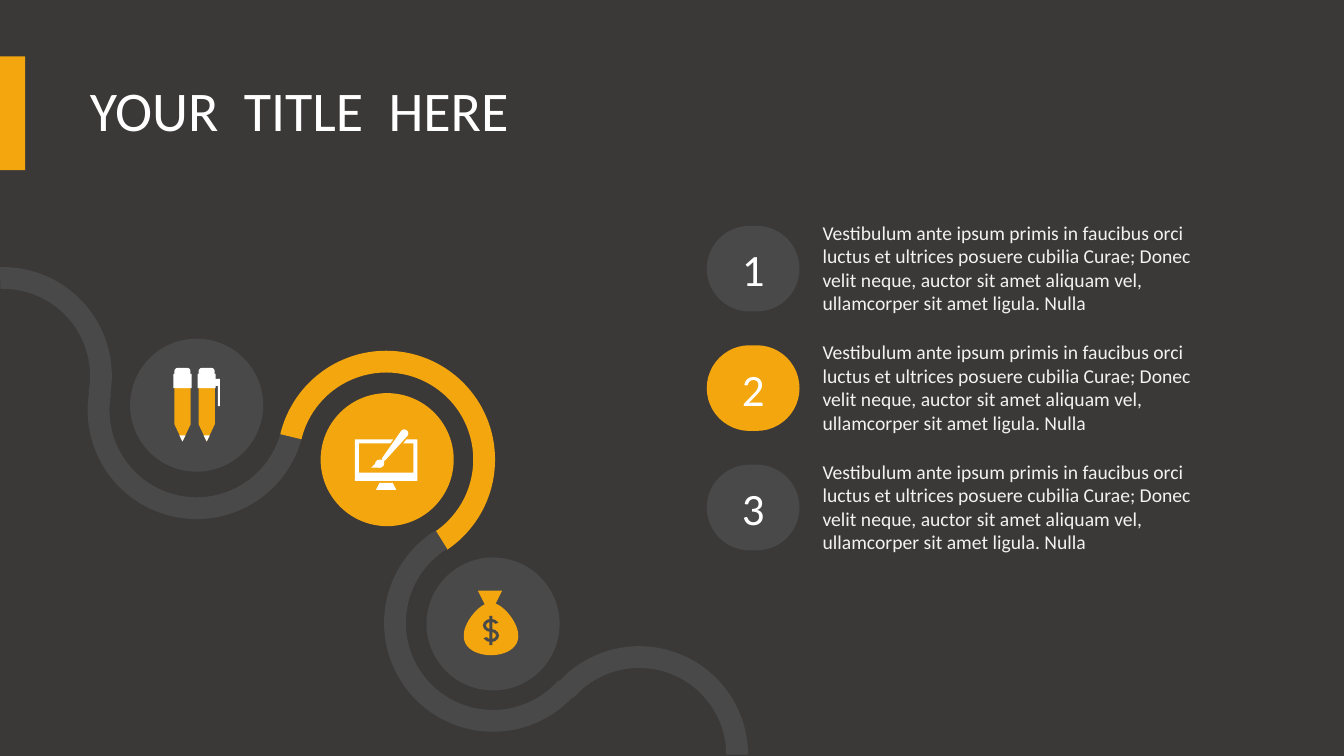
from math import atan2, cos, pi, sin

from pptx import Presentation
from pptx.dml.color import RGBColor
from pptx.enum.shapes import MSO_SHAPE as Preset
from pptx.enum.text import MSO_ANCHOR as Anchor, MSO_AUTO_SIZE as AutoSize, PP_ALIGN as Align
from pptx.util import Inches, Pt

BACKGROUND = RGBColor(0x3B, 0x38, 0x38)
ORANGE = RGBColor(0xF3, 0xA6, 0x0D)
GRAY = RGBColor(0x49, 0x49, 0x49)
WHITE = RGBColor(0xFF, 0xFF, 0xFF)
PALE = RGBColor(0xF2, 0xF2, 0xF2)
ANGLE_UNIT = 0.6  # block arc adjustment per degree


def add_preset(kind, left, top, width, height, color, adjustments=(), rotation=0):
    shape = slide.shapes.add_shape(kind, Inches(left), Inches(top), Inches(width), Inches(height))
    for index, value in enumerate(adjustments):
        shape.adjustments[index] = value
    shape.rotation = rotation
    shape.fill.solid()
    shape.fill.fore_color.rgb = color
    shape.line.fill.background()
    shape.shadow.inherit = False
    return shape


def write(shape, text, size, color=WHITE, align=Align.LEFT, anchor=Anchor.MIDDLE,
          spacing=1.0, fit=AutoSize.NONE):
    frame = shape.text_frame
    frame.word_wrap = True
    frame.auto_size = fit
    frame.vertical_anchor = anchor
    paragraph = frame.paragraphs[0]
    paragraph.alignment = align
    paragraph.line_spacing = spacing
    run = paragraph.add_run()
    run.text = text
    run.font.name = "Calibri"
    run.font.size = Pt(size)
    run.font.color.rgb = color


prs = Presentation()
prs.slide_width, prs.slide_height = Inches(13.33), Inches(7.5)
slide = prs.slides.add_slide(prs.slide_layouts[5])
slide.background.fill.solid()
slide.background.fill.fore_color.rgb = BACKGROUND

# Title with its accent bar
add_preset(Preset.RECTANGLE, -0.01, 0.56, 0.26, 1.13, ORANGE)
title = slide.shapes.title
title.left, title.top, title.width, title.height = map(Inches, (0.79, 0.4, 11.63, 1.45))
write(title, "YOUR  TITLE  HERE", 40, spacing=0.9)

# Winding road: left, top, rotation, flips, start and end in degrees, color
BEND_SIZE, ROAD_THICKNESS = 2.16, 0.1
ROAD = [
    (-1.05, 2.65, 0, (), 268.4, 10.9, GRAY),
    (0.87, 2.99, 0, ("flipH", "flipV"), 194.4, 10.8, GRAY),
    (2.75, 3.48, 45, (), 148.5, 10.8, ORANGE),
    (3.81, 5.1, 52, ("flipV",), 173.8, 10.8, GRAY),
    (5.26, 6.41, 50.4, ("flipH",), 230.6, 9.5, GRAY),
]
for left, top, rotation, flips, start, end, color in ROAD:
    bend = add_preset(Preset.BLOCK_ARC, left, top, BEND_SIZE, BEND_SIZE, color,
                      (start * ANGLE_UNIT, end * ANGLE_UNIT, ROAD_THICKNESS), rotation)
    for flip in flips:
        bend._element.spPr.xfrm.set(flip, "1")

# Discs that carry the icons
DISC_SIZE = 1.32
for left, top, color in [(1.29, 3.36, GRAY), (3.18, 3.9, ORANGE), (4.23, 5.53, GRAY)]:
    add_preset(Preset.OVAL, left, top, DISC_SIZE, DISC_SIZE, color)

# Pens: a downward arrow-shaped body, a cap with a wider band, and a tip
PEN_WIDTH, PEN_TOP, PEN_POINT = 0.16, 3.75, 4.38
CAP_TOP, BAND_TOP, TIP_SIZE = 3.65, 3.71, 0.06
pen_length = PEN_POINT - PEN_TOP
for pen_center in (1.81, 2.05):
    add_preset(Preset.PENTAGON, pen_center - pen_length / 2, PEN_TOP + (pen_length - PEN_WIDTH) / 2,
               pen_length, PEN_WIDTH, ORANGE, (1.06,), 90)
    add_preset(Preset.ROUNDED_RECTANGLE, pen_center - PEN_WIDTH / 2, CAP_TOP,
               PEN_WIDTH, PEN_WIDTH, WHITE, (0.2,))
    add_preset(Preset.RECTANGLE, pen_center - PEN_WIDTH / 2 - 0.01, BAND_TOP,
               PEN_WIDTH + 0.02, 0.14, WHITE)
    add_preset(Preset.FLOWCHART_MERGE, pen_center - TIP_SIZE / 2, PEN_POINT - TIP_SIZE,
               TIP_SIZE, TIP_SIZE, WHITE)
add_preset(Preset.RECTANGLE, 2.12, 3.76, 0.05, 0.07, WHITE)
add_preset(Preset.RECTANGLE, 2.16, 3.76, 0.02, 0.27, WHITE)

# Monitor: a frame whose top edge is open where the brush crosses it
LEFT, RIGHT, TOP, BOTTOM = 3.52, 4.14, 4.36, 4.77
SIDE, CHIN = 0.04, 0.08
GAP_LEFT, GAP_RIGHT, SLANT = 3.9, 4.03, 0.03
inner_left, inner_right = LEFT + SIDE, RIGHT - SIDE
inner_top, inner_bottom = TOP + SIDE, BOTTOM - CHIN
monitor = [
    (GAP_RIGHT, TOP), (RIGHT, TOP), (RIGHT, BOTTOM), (LEFT, BOTTOM), (LEFT, TOP), (GAP_LEFT, TOP),
    (GAP_LEFT - SLANT, inner_top), (inner_left, inner_top), (inner_left, inner_bottom),
    (inner_right, inner_bottom), (inner_right, inner_top), (GAP_RIGHT - SLANT, inner_top),
]
add_preset(Preset.TRAPEZOID, 3.73, 4.79, 0.2, 0.07, WHITE, (0.5,))

# Brush handle: a half circle at each end, joined by straight sides
GRIP, GRIP_RADIUS = (4.01, 4.3), 0.04
FERRULE, FERRULE_RADIUS = (3.81, 4.55), 0.02
ARC_STEPS = 10
axis = atan2(GRIP[1] - FERRULE[1], GRIP[0] - FERRULE[0])
handle = []
for (x, y), radius, facing in [(GRIP, GRIP_RADIUS, axis), (FERRULE, FERRULE_RADIUS, axis + pi)]:
    for step in range(ARC_STEPS + 1):
        angle = facing - pi / 2 + pi * step / ARC_STEPS
        handle.append((x + radius * cos(angle), y + radius * sin(angle)))
add_preset(Preset.TEAR, 3.72, 4.56, 0.09, 0.08, WHITE)
add_preset(Preset.FLOWCHART_MERGE, 3.68, 4.59, 0.1, 0.05, WHITE, rotation=180)

# Money bag: a pear-shaped sack, fuller toward its foot, under a tied neck
BAG_CENTER, SACK_MIDDLE = 4.87, 6.24
SACK_HALF_WIDTH, SACK_HALF_HEIGHT, FULLNESS = 0.26, 0.26, 0.3
SACK_STEPS = 60
sack = []
for step in range(SACK_STEPS):
    turn = 2 * pi * step / SACK_STEPS
    half_width = SACK_HALF_WIDTH * (1 - FULLNESS * cos(turn))
    sack.append((BAG_CENTER + half_width * sin(turn), SACK_MIDDLE - SACK_HALF_HEIGHT * cos(turn)))
add_preset(Preset.FLOWCHART_MERGE, BAG_CENTER - 0.13, 5.86, 0.24, 0.24, ORANGE)

for outline, color in [(monitor, WHITE), (handle, WHITE), (sack, ORANGE)]:
    corners = [(Inches(x), Inches(y)) for x, y in outline]
    builder = slide.shapes.build_freeform(*corners[0])
    builder.add_line_segments(corners[1:], close=True)
    part = builder.convert_to_shape()
    part.fill.solid()
    part.fill.fore_color.rgb = color
    part.line.fill.background()
    part.shadow.inherit = False

# Dollar sign: two open rings stacked into an S, crossed by a bar
RING_WIDTH, RING_HEIGHT, STROKE = 0.16, 0.13, 0.03
for ring_top, start, end in [(6.14, 90, 340), (6.24, 270, 160)]:
    add_preset(Preset.BLOCK_ARC, BAG_CENTER - RING_WIDTH / 2, ring_top, RING_WIDTH, RING_HEIGHT, GRAY,
               (start * ANGLE_UNIT, end * ANGLE_UNIT, STROKE / RING_HEIGHT))
add_preset(Preset.RECTANGLE, BAG_CENTER - STROKE / 2, 6.11, STROKE, 0.29, GRAY)

# Numbered descriptions
DESCRIPTION = ("Vestibulum ante ipsum primis in faucibus orci luctus et ultrices posuere cubilia Curae; "
               "Donec velit neque, auctor sit amet aliquam vel, ullamcorper sit amet ligula. Nulla")
ROW_COLORS = (GRAY, ORANGE, GRAY)
FIRST_TO_LAST = 2.37
for row, color in enumerate(ROW_COLORS):
    offset = FIRST_TO_LAST * row / (len(ROW_COLORS) - 1)
    badge = add_preset(Preset.ROUNDED_RECTANGLE, 7.01, 2.24 + offset, 0.92, 0.85, color, (0.5,))
    write(badge, str(row + 1), 32, align=Align.CENTER)
    description = slide.shapes.add_textbox(Inches(8.06), Inches(2.14 + offset), Inches(3.98), Inches(1.04))
    write(description, DESCRIPTION, 14, color=PALE, anchor=Anchor.TOP, fit=AutoSize.SHAPE_TO_FIT_TEXT)

prs.save("out.pptx")
